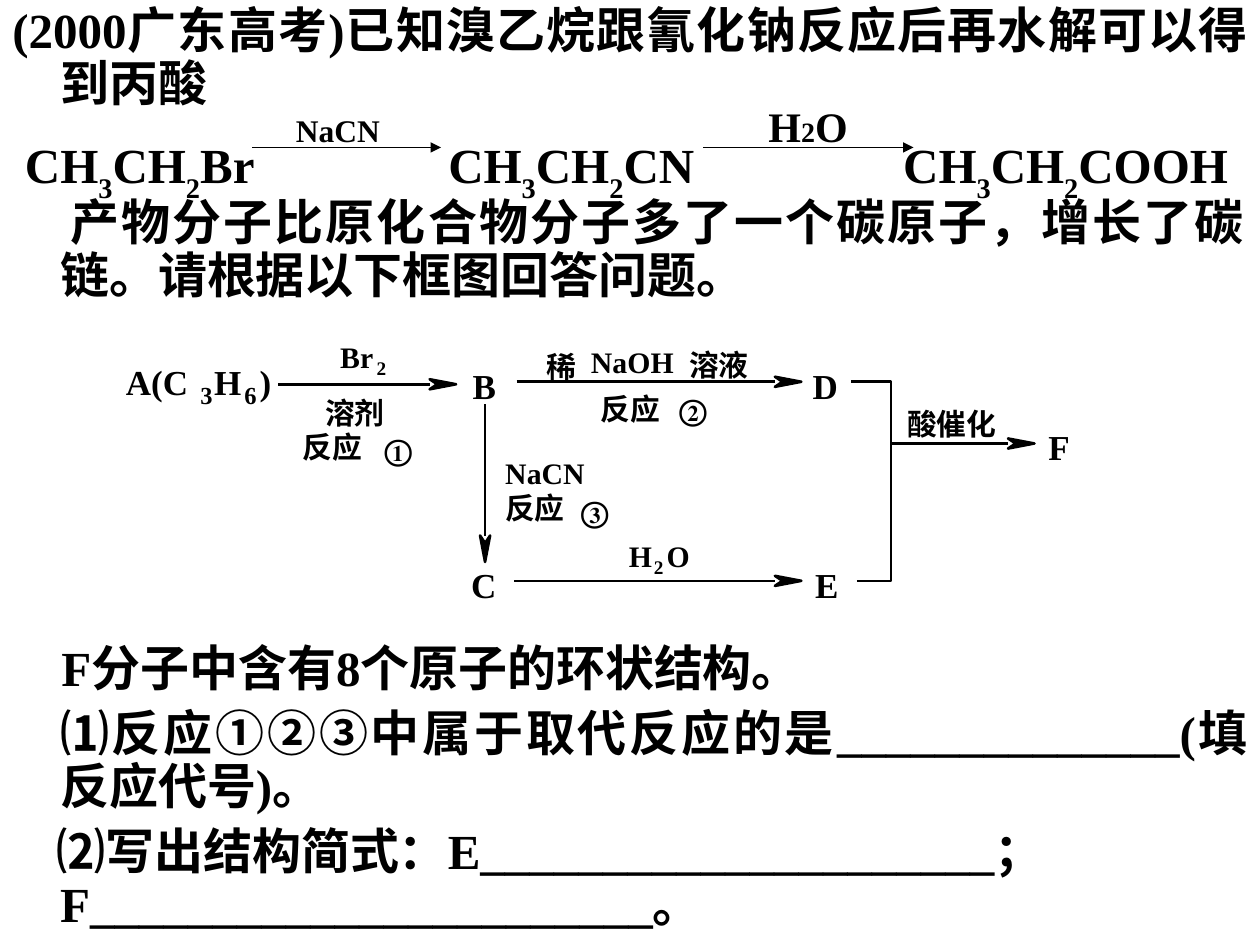
from lxml.etree import SubElement
from pptx import Presentation
from pptx.dml.color import RGBColor
from pptx.enum.shapes import MSO_CONNECTOR
from pptx.enum.text import MSO_AUTO_SIZE, PP_ALIGN
from pptx.oxml.ns import qn
from pptx.util import Inches, Pt

COLORS = {"ink": "000000", "paper": "FFFFFF"}
LATIN, CJK = "Times New Roman", "Noto Sans CJK SC"
INK = RGBColor.from_string(COLORS["ink"])
LABEL_SLACK = 0.06

OPENING = "(2000广东高考)已知溴乙烷跟氰化钠反应后再水解可以得到丙酸"
# Formula, left, width
FORMULAS = [
    ("CH|3|CH|2|Br", 0.1, 2.1), ("CH|3|CH|2|CN", 3.46, 2.3),
    ("CH|3|CH|2|COOH", 7.07, 2.9),
]
EXPLANATION = "产物分子比原化合物分子多了一个碳原子，增长了碳链。请根据以下框图回答问题。"
QUESTIONS = [
    "F分子中含有8个原子的环状结构。",
    "⑴反应①②③中属于取代反应的是______________(填反应代号)。",
    "⑵写出结构简式：E_____________________；F_______________________。",
]
# Scheme labels by size and font: text, left, top, width
COMPOUNDS = [
    ("A(C", 1, 2.86, 0.5), ("H", 1.7, 2.86, 0.22), (")", 2.06, 2.86, 0.09),
    ("B", 3.75, 2.89, 0.19), ("D", 6.45, 2.89, 0.2), ("C", 3.74, 4.47, 0.2),
    ("E", 6.47, 4.47, 0.19), ("F", 8.32, 3.38, 0.17),
]
COMPOUND_COUNTS = [("3", 1.59, 3.02, 0.1), ("6", 1.94, 3.02, 0.1)]
REAGENTS = [
    ("Br", 2.7, 2.69, 0.26), ("NaOH", 4.69, 2.73, 0.66), ("NaCN", 4.01, 3.61, 0.63),
    ("H", 4.99, 4.27, 0.19), ("O", 5.29, 4.27, 0.19),
    ("①", 3.05, 3.43, 0.22), ("②", 5.39, 3.11, 0.22), ("③", 4.61, 3.92, 0.22),
]
REAGENT_COUNTS = [("2", 2.99, 2.83, 0.08), ("2", 5.19, 4.41, 0.08)]
CONDITIONS = [
    ("稀", 4.34, 2.77, 0.24), ("溶液", 5.47, 2.75, 0.47), ("溶剂", 2.58, 3.13, 0.47),
    ("反应", 2.4, 3.4, 0.47), ("反应", 4.77, 3.1, 0.47), ("反应", 4.01, 3.89, 0.47),
    ("酸催化", 7.2, 3.22, 0.71),
]
LABEL_GROUPS = [
    (COMPOUNDS, 20, 0.33, LATIN), (COMPOUND_COUNTS, 14, 0.23, LATIN),
    (REAGENTS, 17, 0.28, LATIN), (REAGENT_COUNTS, 11, 0.18, LATIN),
    (CONDITIONS, 17, 0.28, CJK),
]
# Shaft start and end; the head follows the end
REACTIONS = [
    ((2.21, 3.05), (3.41, 3.05)), ((4.1, 3.03), (6.15, 3.03)),
    ((3.85, 3.21), (3.85, 4.25)), ((4.08, 4.61), (6.15, 4.61)),
    ((7.07, 3.52), (8, 3.52)),
]


def add_run(paragraph, text, size, latin, cjk):
    run = paragraph.add_run()
    run.text = text
    run.font.size, run.font.bold, run.font.name = Pt(size), True, latin
    run.font.color.rgb = INK
    properties = run.font._element
    SubElement(properties, qn("a:ea")).set("typeface", cjk)
    return properties


def add_text(slide, paragraphs, left, top, width, height, size=28, latin=LATIN,
             cjk=CJK, inset=(0.1, 0.05), grow=False, minor_size=None):
    """Every second piece between bars is a subscript, or set in minor_size."""
    box = slide.shapes.add_textbox(Inches(left), Inches(top), Inches(width), Inches(height))
    frame = box.text_frame
    frame.word_wrap = True
    frame.auto_size = MSO_AUTO_SIZE.SHAPE_TO_FIT_TEXT if grow else MSO_AUTO_SIZE.NONE
    frame.margin_left = frame.margin_right = Inches(inset[0])
    frame.margin_top = frame.margin_bottom = Inches(inset[1])
    for number, text in enumerate(paragraphs):
        paragraph = frame.add_paragraph() if number else frame.paragraphs[0]
        for position, piece in enumerate(text.split("|")):
            minor = position % 2 == 1
            piece_size = minor_size if minor and minor_size else size
            properties = add_run(paragraph, piece, piece_size, latin, cjk)
            if minor and not minor_size:
                properties.set("baseline", "-30000")
    return frame.paragraphs


def format_body(paragraph, margin=0.38, indent=0.0, before=0, align=PP_ALIGN.JUSTIFY):
    paragraph.alignment = align
    paragraph.line_spacing = 0.9
    paragraph.space_before = Pt(before)
    properties = paragraph._p.get_or_add_pPr()
    properties.set("marL", str(Inches(margin)))
    properties.set("indent", str(Inches(indent)))


def add_line(slide, start, end, weight=1.5, arrow=False):
    line = slide.shapes.add_connector(
        MSO_CONNECTOR.STRAIGHT, *(Inches(value) for value in (*start, *end)))
    line.line.color.rgb = INK
    line.line.width = Pt(weight)
    if arrow:
        SubElement(line.line._get_or_add_ln(), qn("a:tailEnd"), type="triangle")
    SubElement(line._element.spPr, qn("a:effectLst"))


def add_outline(slide, points, closed=False):
    first, *rest = [(Inches(x), Inches(y)) for x, y in points]
    builder = slide.shapes.build_freeform(*first)
    builder.add_line_segments(rest, close=closed)
    outline = builder.convert_to_shape()
    outline.shadow.inherit = False
    outline.line.color.rgb = INK
    outline.line.width = Pt(1.5)
    if closed:
        outline.fill.solid()
        outline.fill.fore_color.rgb = INK
    else:
        outline.fill.background()


def add_reaction_arrow(slide, start, end):
    """Shaft with a notched head, pointing right or down."""
    add_line(slide, start, end)
    x, y = end
    head = [(0.06, 0), (0, -0.04), (0.21, 0), (0, 0.04)]
    if start[0] == x:
        head = [(across, along) for along, across in head]
    add_outline(slide, [(x + dx, y + dy) for dx, dy in head], closed=True)


def add_body(slide):
    opening, = add_text(slide, [OPENING], 0, 0, 10, 0.95)
    format_body(opening, indent=-0.38)
    for formula, left, width in FORMULAS:
        compound, = add_text(slide, [formula], left, 1.02, width, 0.55)
        format_body(compound, margin=0, align=PP_ALIGN.LEFT)
    explanation, = add_text(slide, [EXPLANATION], 0, 1.52, 9.97, 0.95)
    format_body(explanation, indent=0.08)
    structure, substitution, products = add_text(slide, QUESTIONS, 0, 5.06, 10, 2.44)
    format_body(structure, indent=0.01)
    format_body(substitution, before=7)
    format_body(products, indent=-0.03, before=7, align=PP_ALIGN.LEFT)


def add_scheme(slide):
    for labels, size, height, font in LABEL_GROUPS:
        for text, left, top, width in labels:
            add_text(slide, [text], left, top, width + LABEL_SLACK, height, size=size,
                     latin=font, cjk=font, inset=(0, 0), grow=True)
    for start, end in REACTIONS:
        add_reaction_arrow(slide, start, end)
    add_outline(slide, [(6.8, 4.61), (7.07, 4.61), (7.07, 3.03), (6.75, 3.03)])


def add_equation_arrows(slide):
    for start, end in ((2, 3.5), (5.58, 7.25)):
        add_line(slide, (start, 1.17), (end, 1.17), weight=0.75, arrow=True)
    add_text(slide, ["NaCN"], 2.25, 0.83, 1.25, 0.4, size=18, grow=True)
    add_text(slide, ["H|2|O"], 6, 0.75, 1.17, 0.5, size=24, minor_size=16, grow=True)


def main():
    deck = Presentation()
    deck.slide_width, deck.slide_height = Inches(10), Inches(7.5)
    slide = deck.slides.add_slide(deck.slide_layouts[6])
    slide.background.fill.solid()
    slide.background.fill.fore_color.rgb = RGBColor.from_string(COLORS["paper"])
    add_body(slide)
    add_scheme(slide)
    add_equation_arrows(slide)
    deck.save("out.pptx")


if __name__ == "__main__":
    main()
